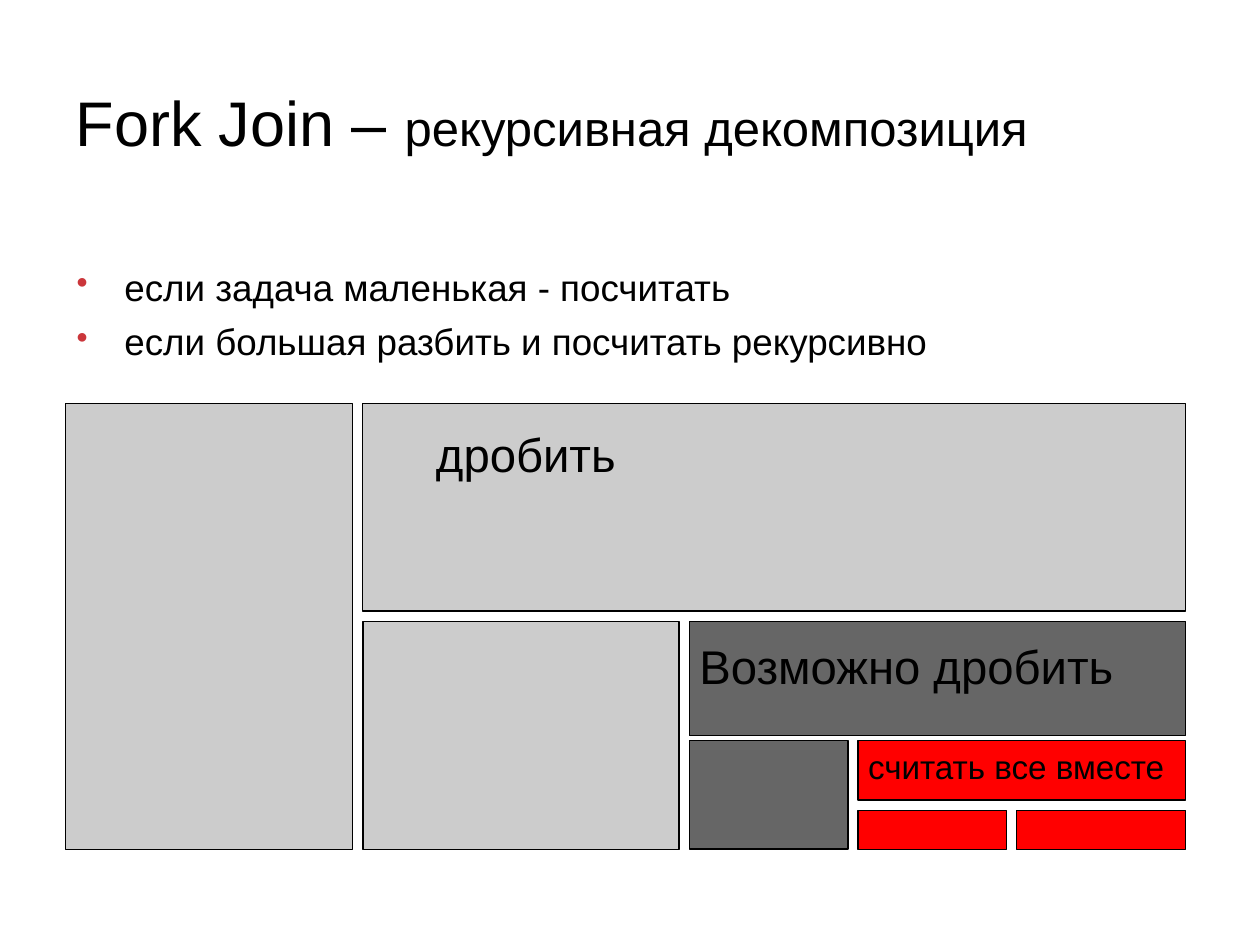
"""Build the slide on recursive fork-join decomposition."""
from lxml import etree
from pptx import Presentation, util as u
from pptx.dml import color
from pptx.enum import shapes, text
from pptx.oxml import ns


def paint(target, value):
    target.solid()
    target.fore_color.rgb = color.RGBColor.from_string(value)


def write(paragraph, words, size):
    run = paragraph.add_run()
    run.text = words
    for name, value in {"name": "Arial", "size": u.Pt(size), "bold": False}.items():
        setattr(run.font, name, value)
    paint(run.font.fill, "000000")


presentation = Presentation()
presentation.slide_width, presentation.slide_height = u.Inches(10), u.Inches(7.5)
column, row = presentation.slide_width / 10, presentation.slide_height / 7.5
slide = presentation.slides.add_slide(presentation.slide_layouts[5])

title = slide.shapes.title
title_box = {"left": 0.5 * column, "top": 0.58 * row, "width": 9 * column, "height": 1.25 * row}
for name, value in title_box.items():
    setattr(title, name, int(value))
title_format = {"vertical_anchor": text.MSO_ANCHOR.TOP, "margin_top": u.Inches(0.08),
                "auto_size": text.MSO_AUTO_SIZE.NONE, "word_wrap": True}
for name, value in title_format.items():
    setattr(title.text_frame, name, value)
heading = title.text_frame.paragraphs[0]
heading.alignment = text.PP_ALIGN.LEFT
write(heading, "Fork Join – ", 36)
write(heading, "рекурсивная декомпозиция", 28)

rules = slide.shapes.add_textbox(*map(int, (0.51 * column, 2.02 * row, 7.8 * column, 1.02 * row)))
rules.text_frame.word_wrap = True
rules.text_frame.margin_top = u.Inches(0.08)
for index, words in enumerate(["если задача маленькая - посчитать",
                               "если большая разбить и посчитать рекурсивно"]):
    paragraph = rules.text_frame.add_paragraph() if index else rules.text_frame.paragraphs[0]
    properties = paragraph._p.get_or_add_pPr()
    properties.set("marL", str(u.Inches(0.38)))
    properties.set("indent", str(u.Inches(-0.38)))
    bullet_color = etree.SubElement(properties, ns.qn("a:buClr"))
    etree.SubElement(bullet_color, ns.qn("a:srgbClr"), val="CB363B")
    etree.SubElement(properties, ns.qn("a:buSzPct"), val="90000")
    etree.SubElement(properties, ns.qn("a:buChar"), char="•")
    paragraph.space_before = u.Pt(6 * index)
    write(paragraph, words, 21)

light, dark, red = "CCCCCC", "666666", "FF0000"
left, top, right, bottom, gap = 0.52, 3.2, 9.41, 6.74, 0.08
splits = [
    (2.28, 1.65, gap, light, light, ("дробить", 27, 0.58, 0.21, 6.12, 0.43)),
    (2.51, 0.91, gap / 2, light, dark, ("Возможно дробить", 27, 0.08, 0.16, 3.39, 0.43)),
    (1.26, 0.47, gap, dark, red, ("считать все вместе", 19, 0.08, 0.07, 2.44, 0.3)),
    (1.18, 0.31, 0, red, red, None),
]
for width, height, row_gap, left_color, top_color, label in splits:
    next_left = left + width + gap
    for x, y, w, h, fill in [(left, top, width, bottom - top, left_color),
                             (next_left, top, right - next_left, height, top_color)]:
        shape = slide.shapes.add_shape(shapes.MSO_SHAPE.RECTANGLE,
                                       *map(int, (x * column, y * row, w * column, h * row)))
        shape.shadow.inherit = False
        paint(shape.fill, fill)
        paint(shape.line.fill, "000000")
        shape.line.width = u.Pt(0.75)
    if label:
        words, size, x, y, w, h = label
        box = slide.shapes.add_textbox(*map(int, ((next_left + x) * column, (top + y) * row,
                                                  w * column, h * row)))
        for side in ("left", "top", "right", "bottom"):
            setattr(box.text_frame, f"margin_{side}", 0)
        box.text_frame.word_wrap = True
        box.text_frame.paragraphs[0].line_spacing = 0.95
        write(box.text_frame.paragraphs[0], words, size)
    left, top = next_left, top + height + row_gap

presentation.save("out.pptx")
